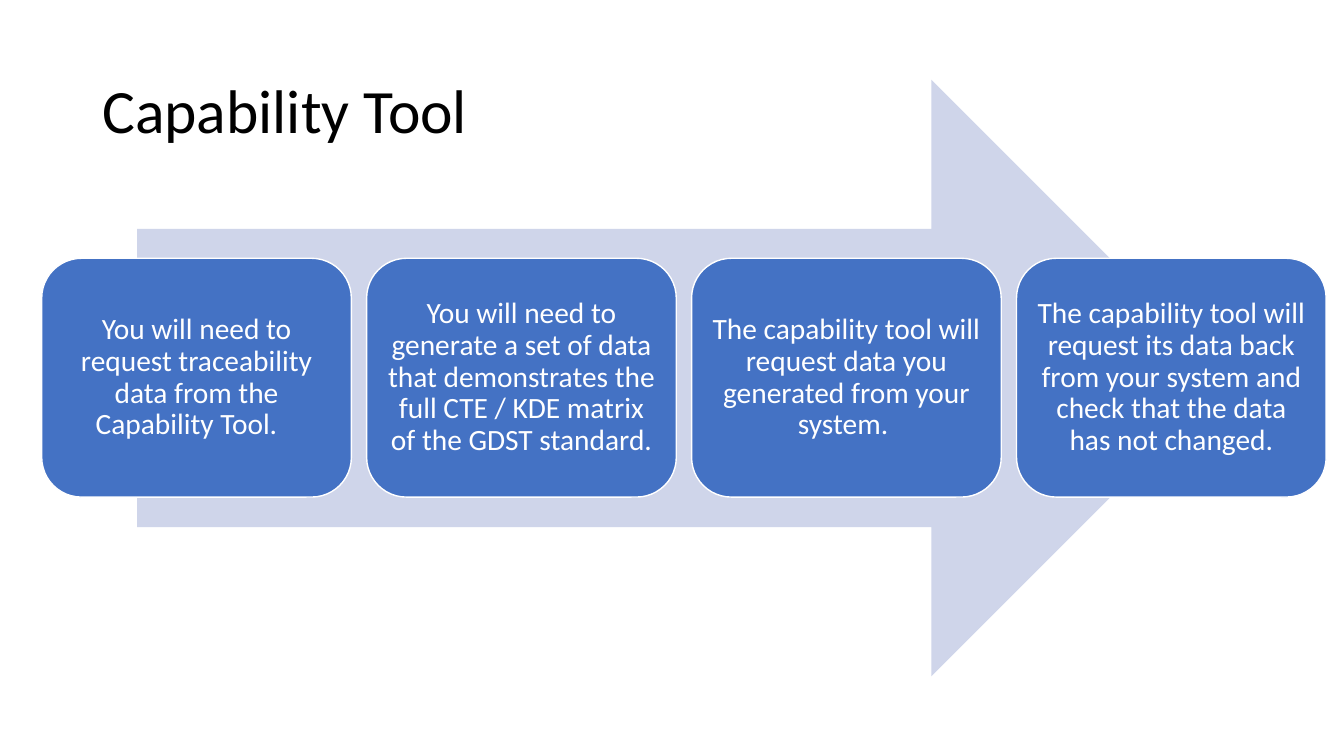
import pptx
import pptx.util
import pptx.dml.color
import pptx.enum.shapes
import pptx.enum.text
from dataclasses import dataclass

Pt = pptx.util.Pt
Kind = pptx.enum.shapes.MSO_SHAPE
Align = pptx.enum.text.PP_ALIGN
Anchor = pptx.enum.text.MSO_ANCHOR


@dataclass(frozen=True)
class Theme:
    font: str = "Calibri"
    ink: str = "000000"
    light: str = "FFFFFF"
    box: str = "4472C4"
    arrow: str = "CFD5EA"
    title: int = 44
    body: int = 21


STEPS = [
    "You will need to request traceability data from the Capability Tool.\t",
    "You will need to generate a set of data that demonstrates the full CTE / KDE matrix of the GDST standard.",
    "The capability tool will request data you generated from your system. ",
    "The capability tool will request its data back from your system and check that the data has not changed.",
]
LEFT, TOP, WIDTH, HEIGHT, PITCH = 29.8, 184.5, 221.2, 170.6, 232.1


def apply(item, values):
    for name, value in values.items():
        setattr(item, name, value)


def color(code):
    return pptx.dml.color.RGBColor.from_string(code)


class Deck:
    def __init__(self, theme, slide):
        self.theme = theme
        self.slide = slide

    def label(self, shape, text, size, ink, align, inset):
        """Fill a shape's text frame with one vertically centred paragraph."""
        frame = shape.text_frame
        apply(frame, {"word_wrap": True, "vertical_anchor": Anchor.MIDDLE})
        apply(frame, {f"margin_{side}": Pt(gap) for side, gap in inset.items()})
        para = frame.paragraphs[0]
        apply(para, {"alignment": align, "line_spacing": 0.9})
        run = para.add_run()
        run.text = text
        apply(run.font, {"name": self.theme.font, "size": Pt(size)})
        run.font.color.rgb = color(ink)

    def title(self, text, *place):
        shape = self.slide.shapes.add_textbox(*map(Pt, place))
        inset = {"left": 7.2, "right": 7.2, "top": 3.6, "bottom": 3.6}
        self.label(shape, text, self.theme.title, self.theme.ink, Align.LEFT, inset)

    def shape(self, kind, fill, *place):
        shape = self.slide.shapes.add_shape(kind, *map(Pt, place))
        shape.shadow.inherit = False
        shape.fill.solid()
        shape.fill.fore_color.rgb = color(fill)
        shape.line.fill.background()
        return shape

    def arrow(self, *place):
        self.shape(Kind.RIGHT_ARROW, self.theme.arrow, *place)

    def step(self, text, *place):
        box = self.shape(Kind.ROUNDED_RECTANGLE, self.theme.box, *place)
        box.line.color.rgb = color(self.theme.light)
        box.line.width = Pt(1)
        inset = dict.fromkeys(("left", "right", "top", "bottom"), 6.3)
        self.label(box, text, self.theme.body, self.theme.light, Align.CENTER, inset)


def main():
    show = pptx.Presentation()
    apply(show, {"slide_width": Pt(960), "slide_height": Pt(540)})
    deck = Deck(Theme(), show.slides.add_slide(show.slide_layouts[6]))
    deck.title("Capability Tool", 66, 28.75, 828, 104.4)
    deck.arrow(97.9, 56.9, 780.4, 426.2)
    for index, text in enumerate(STEPS):
        deck.step(text, LEFT + index * PITCH, TOP, WIDTH, HEIGHT)
    show.save("out.pptx")


if __name__ == "__main__":
    main()
